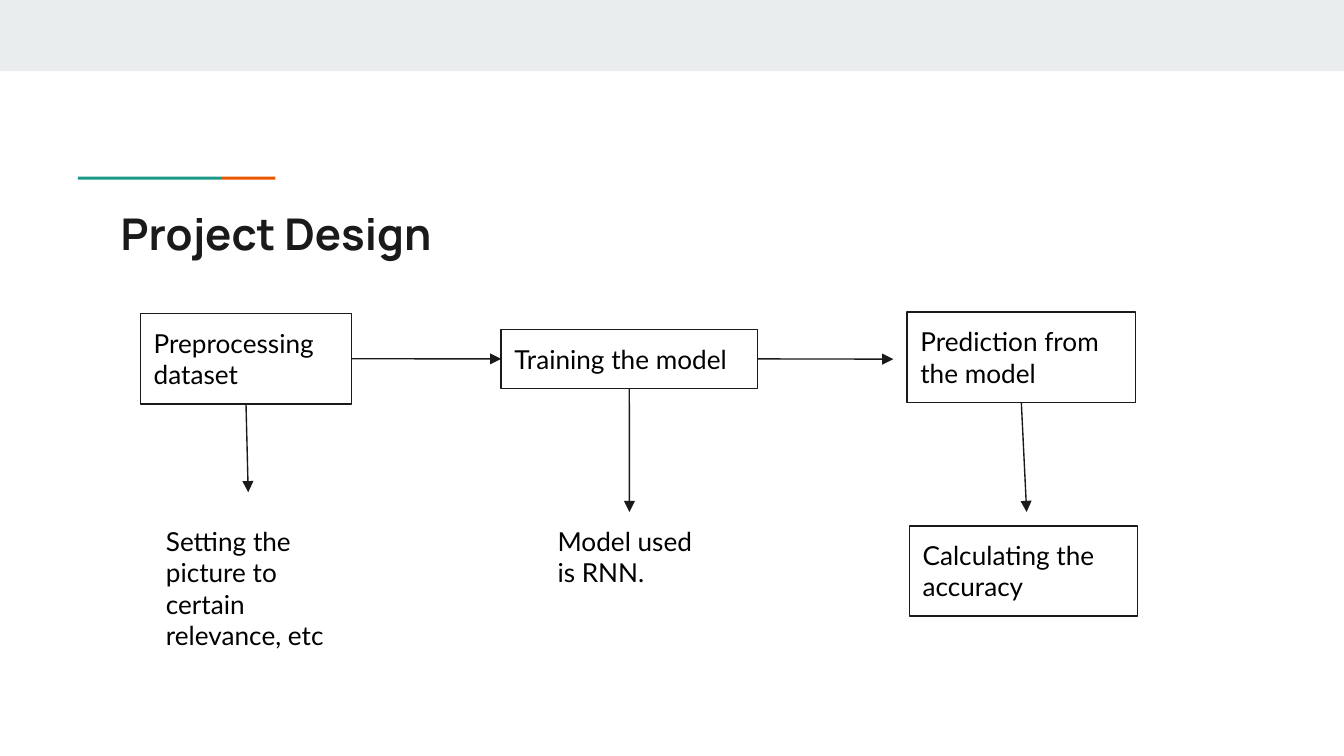
"""Builds the Project Design slide: a three-step flow with a detail below each step."""
from dataclasses import dataclass

from lxml import etree
from pptx import Presentation
from pptx.dml.color import RGBColor
from pptx.enum.shapes import MSO_CONNECTOR, MSO_SHAPE
from pptx.enum.text import MSO_ANCHOR, PP_ALIGN
from pptx.oxml.ns import qn
from pptx.util import Pt

RECT = MSO_SHAPE.RECTANGLE
STRAIGHT = MSO_CONNECTOR.STRAIGHT
TOP, LEFT = MSO_ANCHOR.TOP, PP_ALIGN.LEFT
SIDE_TOP, SIDE_LEFT, SIDE_BOTTOM, SIDE_RIGHT = range(4)


@dataclass(frozen=True)
class Theme:
    band: RGBColor = RGBColor.from_string("E9EDEE")
    teal: RGBColor = RGBColor.from_string("1A9988")
    orange: RGBColor = RGBColor.from_string("EB5600")
    ink: RGBColor = RGBColor.from_string("1A1A1A")
    body: RGBColor = RGBColor.from_string("000000")
    title_font: str = "Manrope"
    body_font: str = "Lato"
    title_size: float = 23.4
    body_size: float = 14
    line_width: float = 0.75
    inset: float = 7.2


THEME = Theme()
TITLE_FORMAT = {"name": THEME.title_font, "size": Pt(THEME.title_size), "bold": True}
BODY_FORMAT = {"name": THEME.body_font, "size": Pt(THEME.body_size)}
FRAME_FORMAT = {
    "word_wrap": True,
    "vertical_anchor": TOP,
    **{f"margin_{side}": Pt(THEME.inset) for side in ("left", "top", "right", "bottom")},
}


def set_attrs(obj, values):
    for name, value in values.items():
        setattr(obj, name, value)


def write(sp, text, fmt, color):
    tf = sp.text_frame
    set_attrs(tf, FRAME_FORMAT)
    p = tf.paragraphs[0]
    p.alignment = LEFT
    r = p.add_run()
    r.text = text
    set_attrs(r.font, fmt)
    r.font.color.rgb = color


def add_bar(s, box, color):
    sp = s.shapes.add_shape(RECT, *map(Pt, box))
    sp.shadow.inherit = False
    sp.fill.solid()
    sp.fill.fore_color.rgb = color
    sp.line.fill.background()


def add_text(s, box, text, fmt=BODY_FORMAT, color=THEME.body):
    sp = s.shapes.add_textbox(*map(Pt, box))
    write(sp, text, fmt, color)
    return sp


def add_step(s, box, text):
    sp = s.shapes.add_shape(RECT, *map(Pt, box))
    sp.shadow.inherit = False
    sp.fill.background()
    sp.line.color.rgb = THEME.ink
    sp.line.width = Pt(THEME.line_width)
    write(sp, text, BODY_FORMAT, THEME.body)
    return sp


def add_arrow(s, start, side, end=(0, 0), target=None, target_side=SIDE_TOP):
    cx = s.shapes.add_connector(STRAIGHT, 0, 0, *map(Pt, end))
    cx.begin_connect(start, side)
    if target is not None:
        cx.end_connect(target, target_side)
    cx.line.color.rgb = THEME.ink
    cx.line.width = Pt(THEME.line_width)
    etree.SubElement(cx.line._get_or_add_ln(), qn("a:tailEnd"), type="triangle")
    etree.SubElement(cx._element.spPr, qn("a:effectLst"))


def main():
    prs = Presentation()
    set_attrs(prs, {"slide_width": Pt(720), "slide_height": Pt(405)})
    s = prs.slides.add_slide(prs.slide_layouts[6])

    add_bar(s, (0, 0, 720, 38.2), THEME.band)
    add_bar(s, (41.8, 94.7, 76.7, 1.6), THEME.teal)
    add_bar(s, (118.5, 94.7, 29, 1.6), THEME.orange)
    add_text(s, (57.6, 103.7, 605.5, 42.5), "Project Design", TITLE_FORMAT, THEME.ink)

    preprocess = add_step(s, (75.3, 168, 113, 48.4), "Preprocessing dataset")
    training = add_step(s, (268.5, 176.5, 137.3, 31.6), "Training the model")
    predict = add_step(s, (486, 167.2, 122.3, 48.4), "Prediction from the model")
    add_step(s, (487.2, 281.7, 122.3, 48.4), "Calculating the accuracy")
    add_text(s, (81.8, 274.3, 101.6, 82), "Setting the picture to certain relevance, etc")
    model = add_text(s, (291.6, 274.3, 91.2, 48.4), "Model used is RNN.")

    add_arrow(s, preprocess, SIDE_RIGHT, target=training, target_side=SIDE_LEFT)
    add_arrow(s, training, SIDE_RIGHT, (478.6, 192.4))
    add_arrow(s, preprocess, SIDE_BOTTOM, (133, 263.7))
    add_arrow(s, training, SIDE_BOTTOM, target=model)
    add_arrow(s, predict, SIDE_BOTTOM, (550, 274.3))

    prs.save("out.pptx")


if __name__ == "__main__":
    main()
